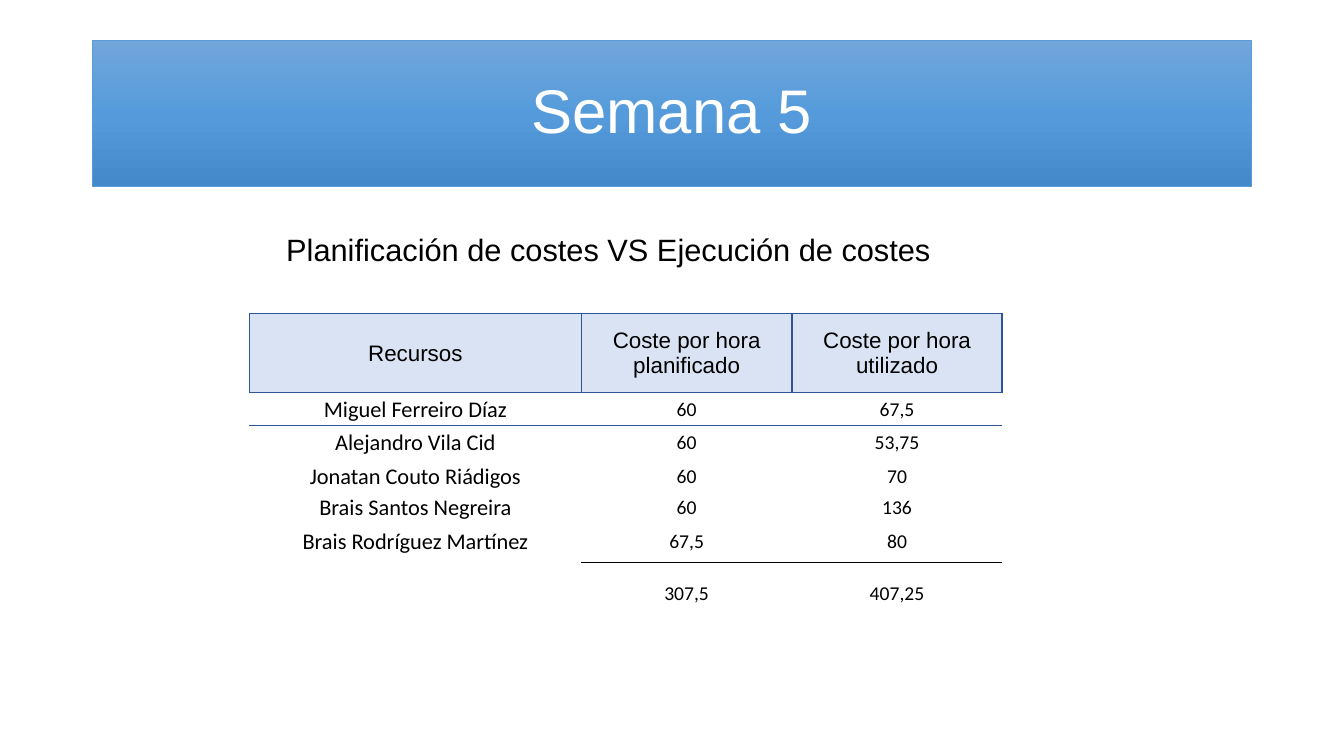
from copy import deepcopy
from lxml import etree
from pptx import Presentation
from pptx.dml.color import RGBColor
from pptx.enum.shapes import MSO_SHAPE
from pptx.enum.text import MSO_ANCHOR, MSO_AUTO_SIZE, PP_ALIGN
from pptx.oxml.ns import qn
from pptx.util import Inches, Pt

RECT = MSO_SHAPE.RECTANGLE
MIDDLE = MSO_ANCHOR.MIDDLE
GROW = MSO_AUTO_SIZE.SHAPE_TO_FIT_TEXT
LEFT, CENTER = PP_ALIGN.LEFT, PP_ALIGN.CENTER

WHITE = RGBColor(0xFF, 0xFF, 0xFF)
BLACK = RGBColor(0x00, 0x00, 0x00)
EDGE = RGBColor(0x5B, 0x9B, 0xD5)
PALE = RGBColor(0xDA, 0xE3, 0xF3)
NAVY = RGBColor(0x2F, 0x55, 0x97)
SHADES = [
    (0, RGBColor(0x71, 0xA6, 0xDB)),
    (0.5, RGBColor(0x55, 0x9B, 0xDB)),
    (1, RGBColor(0x44, 0x8A, 0xCA)),
]

COLS, ROWS = 160, 90
UNIT = Inches(7.5) / ROWS
PLAIN = "{2D5ABB26-0587-4C30-8999-92F81FD0307C}"

HEADS = ["Recursos", "Coste por hora planificado", "Coste por hora utilizado"]
COSTS = [
    ("Miguel Ferreiro Díaz", "60", "67,5"),
    ("Alejandro Vila Cid", "60", "53,75"),
    ("Jonatan Couto Riádigos", "60", "70"),
    ("Brais Santos Negreira", "60", "136"),
    ("Brais Rodríguez Martínez", "67,5", "80"),
]
TOTALS = ("", "307,5", "407,25")


def grid(*cells):
    return [round(cell * UNIT) for cell in cells]


def write(frame, text, size=16, font="Arial", color=BLACK, align=CENTER, space=None):
    frame.word_wrap = True
    para = frame.paragraphs[0]
    para.alignment = align
    para.line_spacing = space
    if text:
        run = para.add_run()
        run.text = text
        run.font.size = Pt(size)
        run.font.name = font
        run.font.color.rgb = color


def border(cell, sides, color, width):
    props = cell._tc.get_or_add_tcPr()
    for side in sides:
        line = etree.SubElement(props, qn("a:ln" + side), w=str(Pt(width)))
        fill = etree.SubElement(line, qn("a:solidFill"))
        etree.SubElement(fill, qn("a:srgbClr"), val=str(color))


class Board:
    def __init__(self, deck):
        self.shapes = deck.slides.add_slide(deck.slide_layouts[6]).shapes

    def banner(self, text, *box):
        shape = self.shapes.add_shape(RECT, *grid(*box))
        shape.shadow.inherit = False
        shape.line.color.rgb = EDGE
        shape.line.width = Pt(0.5)
        shape.fill.gradient()
        shape.fill.gradient_angle = 270
        stops = next(shape.element.iter(qn("a:gsLst")))
        stops.insert(1, deepcopy(stops[0]))
        for stop, (place, color) in zip(shape.fill.gradient_stops, SHADES):
            stop.position = place
            stop.color.rgb = color
        shape.text_frame.vertical_anchor = MIDDLE
        write(shape.text_frame, text, size=44, color=WHITE, space=0.9)

    def label(self, text, *box):
        frame = self.shapes.add_textbox(*grid(*box)).text_frame
        frame.auto_size = GROW
        write(frame, text, size=22, align=LEFT)

    def table(self, rows, left, top, widths, heights):
        box = grid(left, top, sum(widths), sum(heights))
        holder = self.shapes.add_table(len(rows), len(widths), *box)
        next(holder.element.iter(qn("a:tableStyleId"))).text = PLAIN
        table = holder.table
        table.first_row = table.horz_banding = False
        for col, width in zip(table.columns, grid(*widths)):
            col.width = width
        for row, height in zip(table.rows, grid(*heights)):
            row.height = height
        for r, row in enumerate(rows):
            for c, text in enumerate(row):
                self.cell(table.cell(r, c), text, r, c, len(rows) - 1)

    def cell(self, cell, text, row, col, last):
        cell.vertical_anchor = MIDDLE
        cell.margin_left = cell.margin_right = cell.margin_top = Inches(0.01)
        cell.margin_bottom = 0
        if row == 0:
            border(cell, "LRTB", NAVY, 1)
        elif row == 1:
            border(cell, "T", NAVY, 1)
        elif col and row >= last - 1:
            border(cell, "T" if row == last else "B", BLACK, 0.5)
        if row == 0 or (col == 0 and row < last):
            cell.fill.solid()
            cell.fill.fore_color.rgb = WHITE if row else PALE
        else:
            cell.fill.background()
        size = 14 if row and col else 16
        write(cell.text_frame, text, size=size, font="Calibri" if row else "Arial")


def main():
    deck = Presentation()
    deck.slide_width, deck.slide_height = grid(COLS, ROWS)
    board = Board(deck)
    board.banner("Semana 5", 11, 4.8, 138, 17.4)
    board.label("Planificación de costes VS Ejecución de costes", 32.9, 26.9, 89, 5.6)
    heights = [9.4, 4, 4, 4, 3, 4.9, 7.4]
    board.table([HEADS, *COSTS, TOTALS], 29.7, 37.3, [39.5, 25.1, 25], heights)
    deck.save("out.pptx")


if __name__ == "__main__":
    main()
